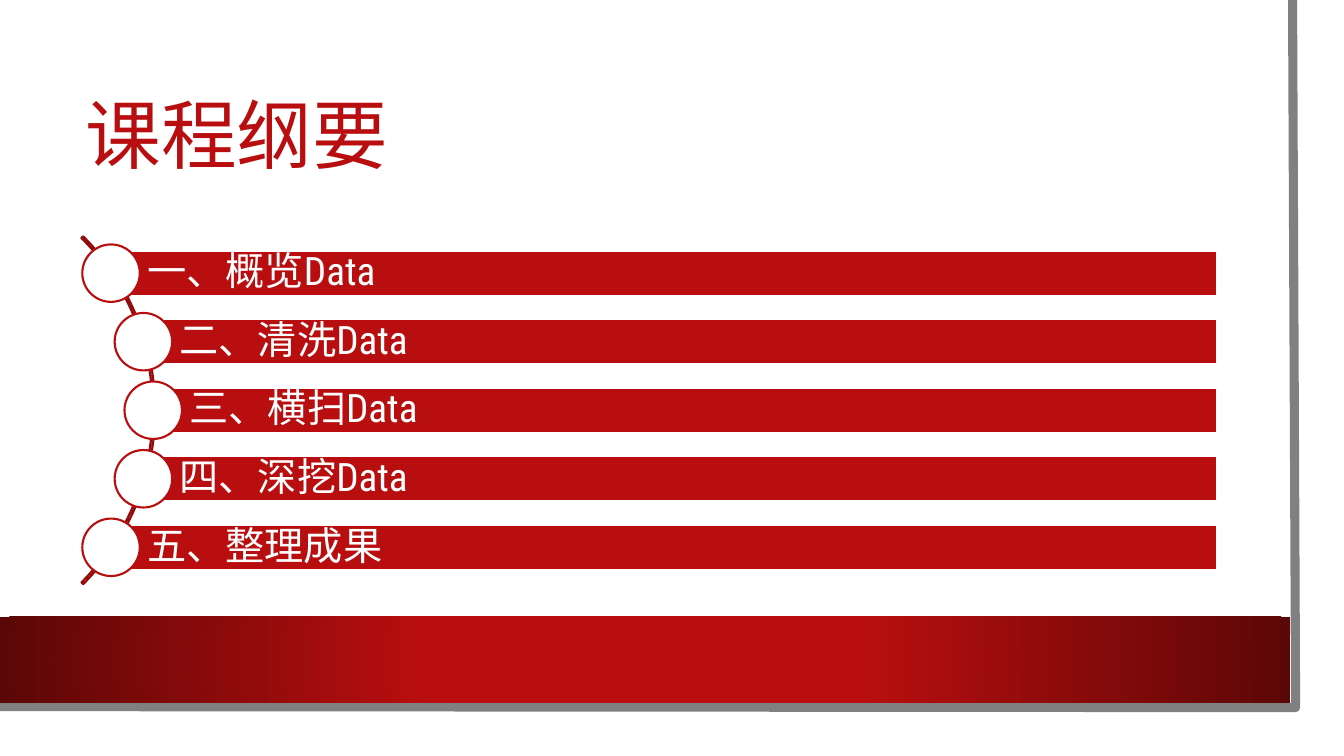
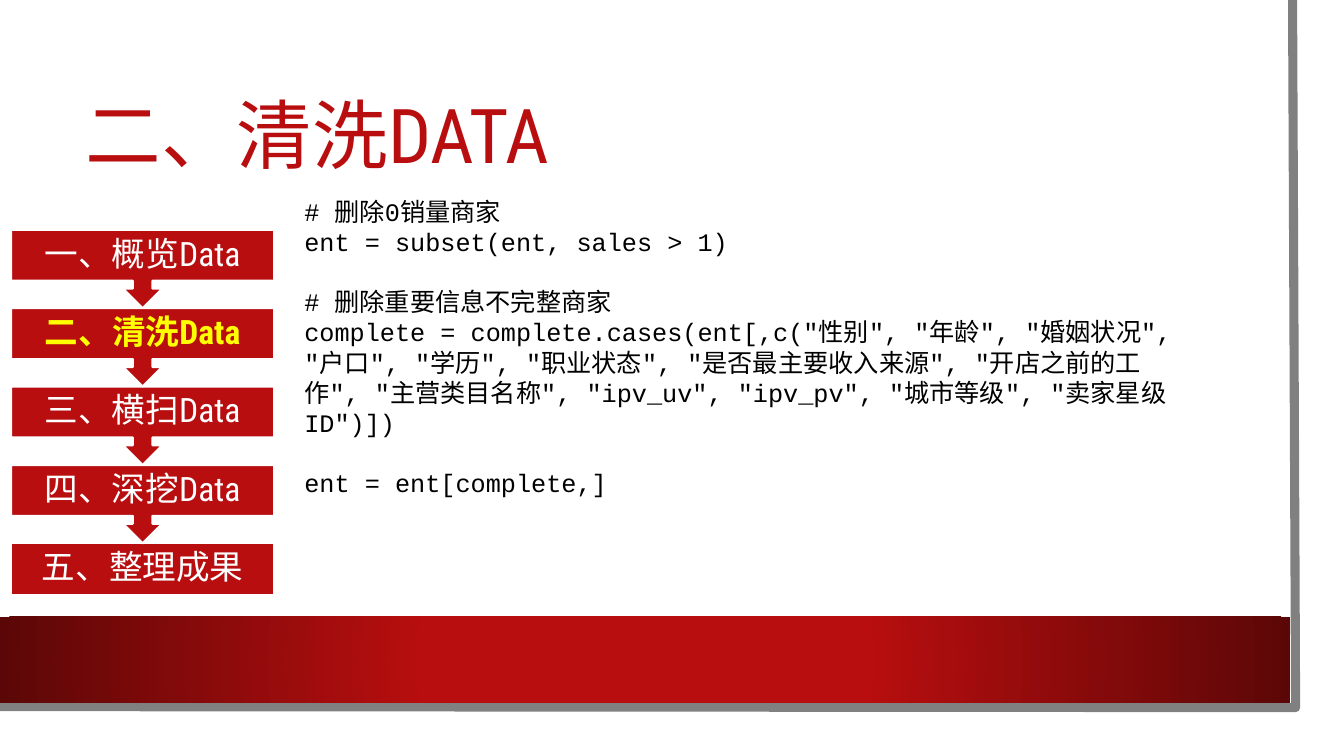
from dataclasses import dataclass
from math import sqrt

from lxml.etree import SubElement
from pptx import Presentation
from pptx.dml.color import RGBColor
from pptx.enum.shapes import MSO_SHAPE, PP_PLACEHOLDER
from pptx.enum.text import MSO_ANCHOR, MSO_AUTO_SIZE, PP_ALIGN
from pptx.oxml.ns import qn
from pptx.util import Inches, Pt


@dataclass(frozen=True)
class Theme:
    red: str = "B80E0F"
    dark_red: str = "5C0707"
    arc_red: str = "930B0C"
    white: str = "FFFFFF"
    gray: str = "808080"
    black: str = "000000"
    highlight: str = "FFFF00"
    font: str = "Roboto Condensed"
    code_font: str = "Courier New"
    title_size: int = 54
    outline_size: int = 28
    step_size: int = 24
    code_size: int = 18
    line_width: float = 1.5
    edge_width: float = 6.5


THEME = Theme()
CHAPTERS = ["一、概览Data", "二、清洗Data", "三、横扫Data", "四、深挖Data", "五、整理成果"]
CODE_BLOCKS = [
    ["# 删除0销量商家", "ent = subset(ent, sales > 1)"],
    [
        "# 删除重要信息不完整商家",
        'complete = complete.cases(ent[,c("性别", "年龄", "婚姻状况", "户口", "学历", '
        '"职业状态", "是否最主要收入来源", "开店之前的工作", "主营类目名称", '
        '"ipv_uv", "ipv_pv", "城市等级", "卖家星级ID")])',
    ],
    ["ent = ent[complete,]"],
]


def write_text(paragraph, text, *, size, color, font=THEME.font, bold=False,
               align=PP_ALIGN.LEFT, line_spacing=0.9, space_before=0):
    paragraph.alignment = align
    paragraph.line_spacing = line_spacing
    paragraph.space_before = Pt(space_before)
    run = paragraph.add_run()
    run.text = text
    run.font.name = font
    run.font.size = Pt(size)
    run.font.bold = bold
    run.font.color.rgb = RGBColor.from_string(color)


def paint(shape, fill=None, line=None, width=THEME.line_width):
    """Set fill and outline, where None means none, and drop the shadow."""
    shape.shadow.inherit = False
    if fill:
        shape.fill.solid()
        shape.fill.fore_color.rgb = RGBColor.from_string(fill)
    else:
        shape.fill.background()
    if line:
        shape.line.color.rgb = RGBColor.from_string(line)
        shape.line.width = Pt(width)
    else:
        shape.line.fill.background()


def paint_radial(shape, inner, outer, inner_stop):
    """Fill with a gradient that runs from the centre outwards."""
    paint(shape)
    shape.fill.gradient()
    for stop, color, position in zip(shape.fill.gradient_stops, (inner, outer), (inner_stop, 1)):
        stop.color.rgb = RGBColor.from_string(color)
        stop.position = position
    gradient = shape.element.spPr.find(qn("a:gradFill"))
    linear = gradient.find(qn("a:lin"))
    if linear is not None:
        gradient.remove(linear)
    circle = SubElement(gradient, qn("a:path"), path="circle")
    SubElement(circle, qn("a:fillToRect"), l="50000", t="50000", r="50000", b="50000")


class Deck:
    def __init__(self, theme):
        self.theme = theme
        self.presentation = Presentation()
        self.presentation.slide_width = Inches(13.33)
        self.presentation.slide_height = Inches(7.5)
        self.layout = self.presentation.slide_layouts[5]
        self.slide = None

    def new_slide(self, title):
        first = self.slide is None
        if first:
            for placeholder in list(self.layout.placeholders):
                if placeholder.placeholder_format.type != PP_PLACEHOLDER.TITLE:
                    placeholder.element.getparent().remove(placeholder.element)
        self.slide = self.presentation.slides.add_slide(self.layout)
        if first:
            self.move_to_layout(self.backdrop())
        self.title(title)

    def move_to_layout(self, shapes):
        tree = self.layout.element.cSld.spTree
        for index, shape in enumerate(shapes, start=2):
            tree.insert(index, shape.element)

    def backdrop(self):
        """Draw the paper, its gray edge and the red band."""
        paper = self.shape(MSO_SHAPE.RECTANGLE, 0, 0, 13.1, 7.27, fill=self.theme.white)
        builder = self.slide.shapes.build_freeform(Inches(12.82), 0)
        corners = [(12.85, 7.02), (-0.03, 7.01)]
        builder.add_line_segments([(Inches(x), Inches(y)) for x, y in corners], close=False)
        edge = builder.convert_to_shape()
        paint(edge, line=self.theme.gray, width=self.theme.edge_width)
        band = self.shape(MSO_SHAPE.RECTANGLE, 0, 6.12, 12.8, 0.85)
        paint_radial(band, self.theme.red, self.theme.dark_red, 0.34)
        return paper, edge, band

    def title(self, text):
        title = self.slide.shapes.title
        title.left, title.top = Inches(0.75), Inches(0.75)
        title.width, title.height = Inches(11.37), Inches(1.26)
        frame = title.text_frame
        frame.auto_size = MSO_AUTO_SIZE.NONE
        frame.vertical_anchor = MSO_ANCHOR.MIDDLE
        write_text(frame.paragraphs[0], text, size=self.theme.title_size, color=self.theme.red)

    def shape(self, kind, left, top, width, height, fill=None, line=None):
        shape = self.slide.shapes.add_shape(
            kind, Inches(left), Inches(top), Inches(width), Inches(height))
        paint(shape, fill, line)
        return shape

    def label(self, kind, left, top, width, height, text, insets, **text_format):
        """Add a red shape with one line of text in it."""
        shape = self.shape(kind, left, top, width, height, self.theme.red, self.theme.white)
        frame = shape.text_frame
        frame.word_wrap = True
        frame.vertical_anchor = MSO_ANCHOR.MIDDLE
        frame.margin_left, frame.margin_right = [Inches(inset) for inset in insets]
        frame.margin_top = frame.margin_bottom = 0
        write_text(frame.paragraphs[0], text, **text_format)

    def curved_outline(self, items):
        """List the items as bars whose dots sit on an arc."""
        center_x, center_y, radius = -0.9, 4.07, 2.44
        dot_radius, dot, step, bar_height, right = 2.42, 0.57, 0.68, 0.45, 12.07
        arc = self.shape(MSO_SHAPE.BLOCK_ARC, center_x - radius, center_y - radius,
                         2 * radius, 2 * radius, line=self.theme.arc_red)
        for index, value in enumerate((189, 27, 0.005)):
            arc.adjustments[index] = value
        for index, item in enumerate(items):
            offset = (index - (len(items) - 1) / 2) * step
            x = center_x + sqrt(dot_radius ** 2 - offset ** 2)
            y = center_y + offset
            self.label(MSO_SHAPE.RECTANGLE, x, y - bar_height / 2, right - x, bar_height,
                       item, (0.36, 0.08), size=self.theme.outline_size, color=self.theme.white)
            self.shape(MSO_SHAPE.OVAL, x - dot / 2, y - dot / 2, dot, dot,
                       self.theme.white, self.theme.red)

    def steps(self, items, current):
        """Stack the items as a downward process, with the current one highlighted."""
        left, top, width, box_height = 0.11, 2.28, 2.61, 0.51
        last = len(items) - 1
        pitch = (5.39 - top) / last
        for index, item in reversed(list(enumerate(items))):
            kind, height = MSO_SHAPE.DOWN_ARROW_CALLOUT, pitch
            if index == last:
                kind, height = MSO_SHAPE.RECTANGLE, box_height
            active = index == current
            self.label(kind, left, top + index * pitch, width, height, item, (0.19, 0.19),
                       size=self.theme.step_size, bold=active, align=PP_ALIGN.CENTER,
                       color=self.theme.highlight if active else self.theme.white)

    def code(self, blocks, left, top, width, height):
        box = self.slide.shapes.add_textbox(
            Inches(left), Inches(top), Inches(width), Inches(height))
        frame = box.text_frame
        frame.word_wrap = True
        frame.auto_size = MSO_AUTO_SIZE.SHAPE_TO_FIT_TEXT
        paragraph = frame.paragraphs[0]
        for block_index, block in enumerate(blocks):
            for line_index, line in enumerate(block):
                if block_index or line_index:
                    paragraph = frame.add_paragraph()
                starts_block = block_index > 0 and line_index == 0
                write_text(paragraph, line, size=self.theme.code_size, color=self.theme.black,
                           font=self.theme.code_font, line_spacing=1,
                           space_before=21 if starts_block else 0)


def main():
    deck = Deck(THEME)
    deck.new_slide("课程纲要")
    deck.curved_outline(CHAPTERS)
    deck.new_slide("二、清洗DATA")
    deck.steps(CHAPTERS, current=1)
    deck.code(CODE_BLOCKS, 2.92, 1.9, 8.97, 3.13)
    deck.presentation.save("out.pptx")


if __name__ == "__main__":
    main()
